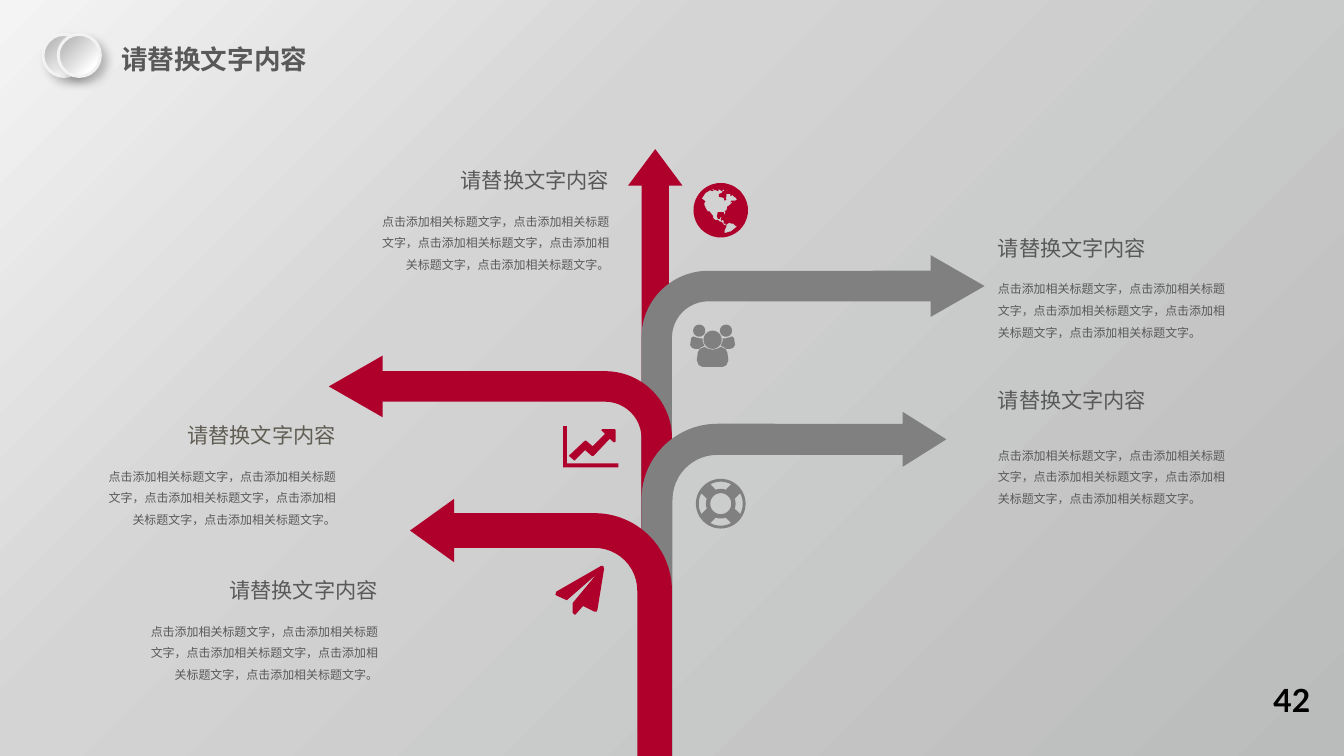
from math import cos, radians, sin

from lxml import etree
from pptx import Presentation
from pptx.dml.color import RGBColor
from pptx.enum.shapes import MSO_SHAPE
from pptx.enum.text import MSO_AUTO_SIZE, PP_ALIGN
from pptx.oxml.ns import qn
from pptx.util import Inches, Pt

UP_ARROW, BENT_ARROW, OVAL = MSO_SHAPE.UP_ARROW, MSO_SHAPE.BENT_ARROW, MSO_SHAPE.OVAL
LEFT, CENTER, RIGHT = PP_ALIGN.LEFT, PP_ALIGN.CENTER, PP_ALIGN.RIGHT
FIT_SHAPE = MSO_AUTO_SIZE.SHAPE_TO_FIT_TEXT

RED = RGBColor(0xAE, 0x00, 0x2B)
GRAY = RGBColor(0x80, 0x80, 0x80)
TEXT_GRAY = RGBColor(0x59, 0x59, 0x59)
WARM_GRAY = RGBColor(0x60, 0x5E, 0x54)
RIM = RGBColor(0xF2, 0xF2, 0xF2)
BLACK = RGBColor(0x00, 0x00, 0x00)
BACKDROP_STOPS = [(0, RGBColor(0xF4, 0xF4, 0xF4)), (35, RGBColor(0xD4, 0xD4, 0xD4)),
                  (100, RGBColor(0xBA, 0xBB, 0xBB))]
KNOB_STOPS = [(20, RGBColor(0xBF, 0xBF, 0xBF)), (80, RGBColor(0xFF, 0xFF, 0xFF)),
              (100, RGBColor(0xFF, 0xFF, 0xFF))]

HEADING = "请替换文字内容"
BODY = "，".join(["点击添加相关标题文字"] * 5) + "。"
CJK = "Noto Sans CJK SC"

presentation = Presentation()
presentation.slide_width = Inches(14.06)
presentation.slide_height = Inches(7.91)
slide = presentation.slides.add_slide(presentation.slide_layouts[6])


def arc(center_x, center_y, radius, start=0, end=360):
    """Points along a circle, with angles in degrees."""
    steps = 48
    angles = [radians(start + (end - start) * step / steps) for step in range(steps + 1)]
    return [(center_x + radius * cos(a), center_y + radius * sin(a)) for a in angles]


def add_text(box, paragraphs, wrap=True):
    """Add a text box; each paragraph is (text, alignment, spacing, font values)."""
    frame = slide.shapes.add_textbox(*map(Inches, box)).text_frame
    frame.word_wrap = wrap
    frame.auto_size = FIT_SHAPE
    for index, (text, alignment, spacing, values) in enumerate(paragraphs):
        paragraph = frame.paragraphs[0] if index == 0 else frame.add_paragraph()
        paragraph.alignment = alignment
        for name, value in spacing.items():
            setattr(paragraph, name, value)
        run = paragraph.add_run()
        run.text = text
        run.font.color.rgb = values["color"]
        for name in ("name", "size", "bold"):
            setattr(run.font, name, values.get(name))
        # East Asian line height follows Lato
        east_asian = etree.SubElement(run.font._element, qn("a:ea"))
        east_asian.set("typeface", "Lato")


# Arrow tree: preset, box, flipped, adjustments, colour
arrows = [
    (UP_ARROW, (6.57, 1.56, 0.57, 6.35), False, (0.5, 0.671), RED),
    (BENT_ARROW, (6.71, 2.67, 3.59, 5.24), False, (0.089, 0.09, 0.157, 0.195), GRAY),
    (BENT_ARROW, (3.44, 3.72, 3.59, 4.19), True, (0.089, 0.09, 0.157, 0.195), RED),
    (BENT_ARROW, (6.71, 4.31, 3.19, 3.6), False, (0.102, 0.09, 0.143, 0.249), GRAY),
    (BENT_ARROW, (4.29, 5.22, 2.74, 2.69), True, (0.135, 0.123, 0.171, 0.301), RED),
]
for preset, box, flipped, adjustments, color in arrows:
    arrow = slide.shapes.add_shape(preset, *map(Inches, box))
    arrow.shadow.inherit = False
    arrow.fill.solid()
    arrow.fill.fore_color.rgb = color
    arrow.line.fill.background()
    for index, value in enumerate(adjustments):
        arrow.adjustments[index] = value
    if flipped:
        arrow.element.spPr.find(qn("a:xfrm")).set("flipH", "1")

# Captions: box, alignment, heading colour, gap below heading
captions = [
    ((1.4, 5.99, 2.65, 1.18), RIGHT, TEXT_GRAY, 10.8),
    ((1, 4.37, 2.61, 1.35), RIGHT, WARM_GRAY, 10.8),
    ((10.34, 4, 2.61, 1.51), LEFT, TEXT_GRAY, 21.6),
    ((3.86, 1.7, 2.61, 1.35), RIGHT, TEXT_GRAY, 10.8),
    ((10.34, 2.41, 2.61, 1.35), LEFT, TEXT_GRAY, 10.8),
]
for box, alignment, color, gap in captions:
    add_text(box, [
        (HEADING, alignment, {"space_after": Pt(gap)},
         {"name": CJK, "size": Pt(16), "color": color}),
        (BODY, alignment, {"line_spacing": 1.5},
         {"name": CJK, "size": Pt(9), "color": TEXT_GRAY}),
    ])

# Icons: each is a list of outlines in inches
plane = [[(6.32, 5.95), (6.25, 6.38), (6.24, 6.4), (6.22, 6.4), (6.1, 6.34), (6.02, 6.43),
          (6.01, 6.43), (5.99, 6.41), (5.99, 6.31), (6.24, 6.01), (5.93, 6.28), (5.82, 6.23),
          (5.81, 6.22), (5.82, 6.19), (6.29, 5.92), (6.31, 5.92)]]

north_land = [
    (7.64, 2.12), (7.65, 2.1), (7.69, 2.1), (7.71, 2.09), (7.7, 2.07), (7.68, 2.06),
    (7.66, 2.04), (7.65, 2.05), (7.64, 2.05), (7.64, 2.03), (7.6, 2.03), (7.6, 2.06),
    (7.59, 2.07), (7.6, 2.09), (7.58, 2.1), (7.57, 2.07), (7.52, 2.06), (7.52, 2.03),
    (7.55, 2.02), (7.56, 2), (7.58, 2), (7.57, 1.98), (7.55, 2), (7.52, 1.98),
    (7.51, 1.97), (7.52, 1.99), (7.51, 2), (7.49, 1.99), (7.47, 1.99), (7.47, 1.98),
    (7.43, 1.99), (7.47, 1.99), (7.45, 2), (7.43, 1.99), (7.38, 2.02), (7.34, 2.08),
    (7.36, 2.09), (7.38, 2.11), (7.37, 2.12), (7.37, 2.15), (7.39, 2.19), (7.41, 2.22),
    (7.43, 2.26), (7.41, 2.21), (7.42, 2.21), (7.46, 2.26), (7.46, 2.28), (7.48, 2.3),
    (7.51, 2.3), (7.53, 2.32), (7.55, 2.32), (7.57, 2.35), (7.59, 2.36), (7.59, 2.34),
    (7.57, 2.34), (7.57, 2.31), (7.56, 2.3), (7.55, 2.31), (7.54, 2.3), (7.55, 2.27),
    (7.53, 2.28), (7.53, 2.29), (7.51, 2.29), (7.5, 2.26), (7.51, 2.22), (7.54, 2.22),
    (7.57, 2.22), (7.58, 2.25), (7.59, 2.22), (7.58, 2.21), (7.6, 2.2), (7.61, 2.16),
    (7.63, 2.15), (7.66, 2.12), (7.66, 2.11)]
south_land = [
    (7.71, 2.37), (7.69, 2.36), (7.67, 2.34), (7.65, 2.34), (7.63, 2.33), (7.6, 2.35),
    (7.6, 2.37), (7.58, 2.41), (7.58, 2.44), (7.65, 2.42)]
globe = [arc(7.54, 2.2, 0.285), north_land, south_land]

growth_chart = [
    [(6.47, 4.89), (5.89, 4.89), (5.89, 4.46), (5.93, 4.46), (5.93, 4.85), (6.47, 4.85)],
    [(6.44, 4.62), (6.42, 4.63), (6.38, 4.59), (6.21, 4.77), (6.19, 4.77), (6.12, 4.71),
     (6.01, 4.82), (5.95, 4.77), (6.12, 4.61), (6.13, 4.61), (6.2, 4.67), (6.33, 4.54),
     (6.29, 4.5), (6.3, 4.49), (6.43, 4.49), (6.44, 4.5)]]

lifebuoy = [arc(7.54, 5.27, 0.26), arc(7.54, 5.27, 0.11)]
for angle in range(0, 360, 90):
    lifebuoy.append(arc(7.54, 5.27, 0.23, angle - 28, angle + 28)
                    + arc(7.54, 5.27, 0.155, angle + 20, angle - 20))

people_axis = 7.455
side_head = arc(7.315, 3.46, 0.063)
side_body = [(7.31, 3.65), (7.27, 3.65), (7.24, 3.64), (7.22, 3.61), (7.23, 3.54), (7.25, 3.52),
             (7.28, 3.53), (7.32, 3.54), (7.35, 3.54), (7.35, 3.57), (7.37, 3.62), (7.34, 3.63)]
half_torso = [(7.46, 3.84), (7.35, 3.84), (7.31, 3.82), (7.29, 3.77), (7.3, 3.69), (7.32, 3.65),
              (7.37, 3.63), (7.41, 3.65), (7.46, 3.66)]
people = [arc(people_axis, 3.555, 0.095)]
for outline in (side_head, side_body, half_torso):
    mirrored = [(2 * people_axis - x, y) for x, y in outline]
    people += [outline + mirrored[::-1]] if outline is half_torso else [outline, mirrored]

for outlines, color in [(plane, RED), (globe, RED), (growth_chart, RED),
                        (lifebuoy, GRAY), (people, GRAY)]:
    scaled = [[(x * 1000, y * 1000) for x, y in outline] for outline in outlines]
    builder = slide.shapes.build_freeform(*scaled[0][0], scale=Inches(1) / 1000)
    for index, outline in enumerate(scaled):
        if index:
            builder.move_to(*outline[0])
        builder.add_line_segments(outline[1:], close=True)
    icon = builder.convert_to_shape()
    icon.shadow.inherit = False
    icon.fill.solid()
    icon.fill.fore_color.rgb = color
    icon.line.fill.background()

# Slide title, paired knobs and page number
add_text((1.17, 0.4, 2.17, 0.44),
         [(HEADING, LEFT, {}, {"name": "Calibri", "size": Pt(20), "bold": True,
                               "color": TEXT_GRAY})], wrap=False)

gradients = [(slide.background.fill, slide.element, BACKDROP_STOPS)]
for left in (0.45, 0.61):
    knob = slide.shapes.add_shape(OVAL, *map(Inches, (left, 0.36, 0.44, 0.44)))
    knob.line.color.rgb = RIM
    knob.line.width = Pt(2.25)
    knob.shadow.inherit = False
    effects = knob.element.spPr.find(qn("a:effectLst"))
    shadow = etree.SubElement(effects, qn("a:outerShdw"), blurRad=str(Pt(7)),
                              dist=str(Pt(5.9)), dir="2700000", algn="tl", rotWithShape="0")
    shadow_color = etree.SubElement(shadow, qn("a:srgbClr"), val=str(BLACK))
    etree.SubElement(shadow_color, qn("a:alpha"), val="23000")
    gradients.append((knob.fill, knob.element, KNOB_STOPS))

for fill, element, stops in gradients:
    fill.gradient()
    fill.gradient_angle = 315
    stop_list = next(element.iter(qn("a:gsLst")))
    for old_stop in list(stop_list):
        stop_list.remove(old_stop)
    for position, color in stops:
        stop = etree.SubElement(stop_list, qn("a:gs"), pos=str(position * 1000))
        etree.SubElement(stop, qn("a:srgbClr"), val=str(color))

add_text((13.22, 7.07, 0.59, 0.5),
         [("42", CENTER, {}, {"name": "Lato", "size": Pt(24), "bold": True, "color": BLACK})])

presentation.save("out.pptx")
